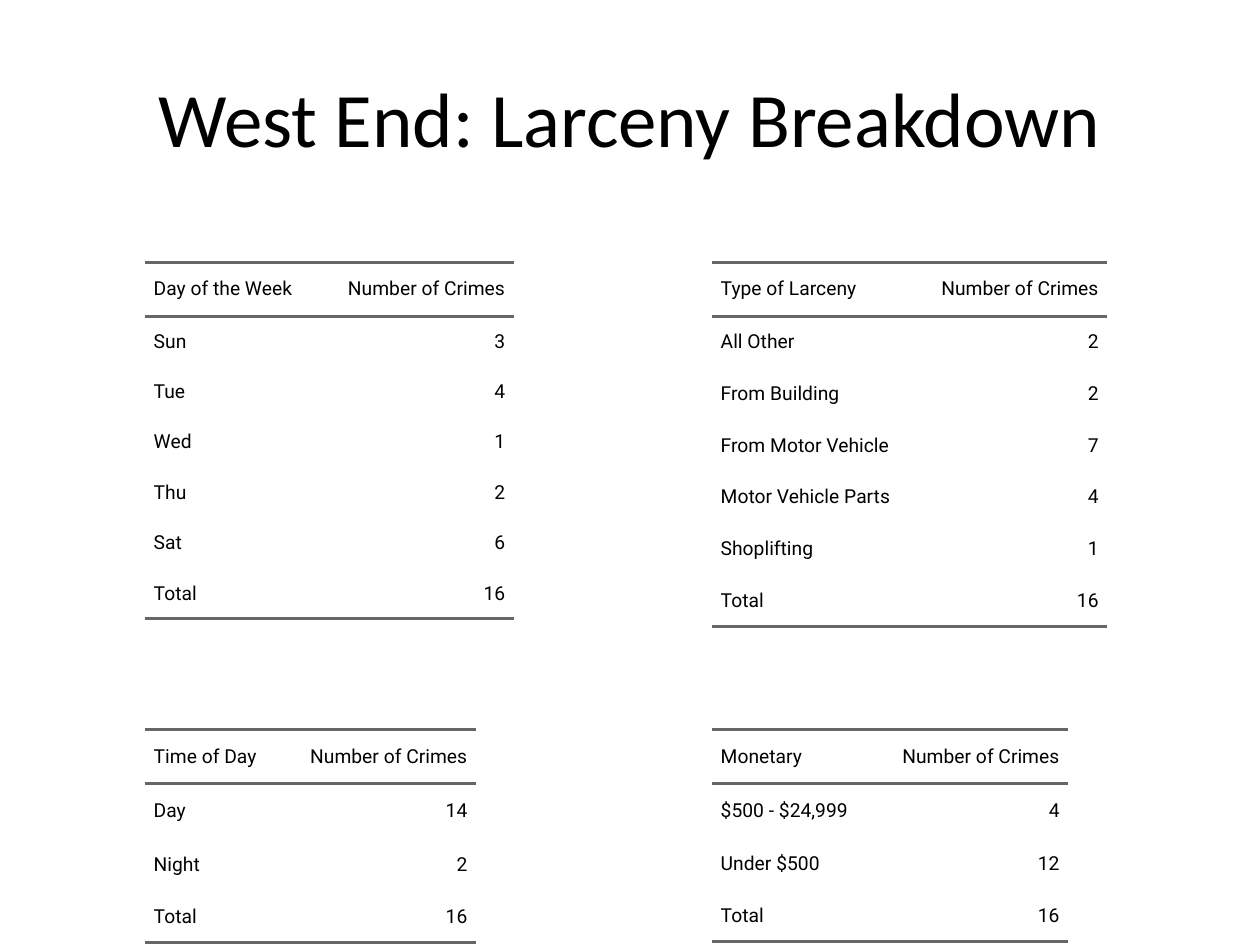
from dataclasses import dataclass

import lxml.etree
import pptx
import pptx.dml.color
import pptx.enum.text
import pptx.oxml.ns
import pptx.util

Inches = pptx.util.Inches
Pt = pptx.util.Pt
ALIGN = pptx.enum.text.PP_ALIGN
MIDDLE = pptx.enum.text.MSO_ANCHOR.MIDDLE

BLACK = pptx.dml.color.RGBColor(0x00, 0x00, 0x00)
GRAY = pptx.dml.color.RGBColor(0x66, 0x66, 0x66)

NO_STYLE = "{2D5ABB26-0587-4C30-8999-92F81FD0307C}"
LEFT_X, RIGHT_X = 1.15, 5.65
TOP_Y, BOTTOM_Y = 2.08, 5.79
COUNT_WIDTH = 1.52
COUNT_HEADING = "Number of Crimes"
PADDING = Inches(0.07)

TITLE_FONT = {"name": "Calibri", "size": Pt(44)}
CELL_FONT = {"name": "Roboto", "size": Pt(11)}
CELL_FORMAT = {
    "margin_left": 0,
    "margin_right": 0,
    "margin_top": 0,
    "margin_bottom": 0,
    "vertical_anchor": MIDDLE,
}
PLAIN_TABLE = {"first_row": False, "horz_banding": False}


@dataclass(frozen=True)
class Breakdown:
    heading: str
    x: float
    y: float
    label_width: float
    row_heights: tuple[float, ...]
    counts: dict[str, int]


BREAKDOWNS = (
    Breakdown("Day of the Week", LEFT_X, TOP_Y, 1.41, (0.43,) + (0.4,) * 6,
              {"Sun": 3, "Tue": 4, "Wed": 1, "Thu": 2, "Sat": 6}),
    Breakdown("Time of Day", LEFT_X, BOTTOM_Y, 1.11, (0.43, 0.43, 0.43, 0.4),
              {"Day": 14, "Night": 2}),
    Breakdown("Type of Larceny", RIGHT_X, TOP_Y, 1.62,
              (0.43, 0.4, 0.43, 0.4, 0.4, 0.43, 0.4),
              {"All Other": 2, "From Building": 2, "From Motor Vehicle": 7,
               "Motor Vehicle Parts": 4, "Shoplifting": 1}),
    Breakdown("Monetary", RIGHT_X, BOTTOM_Y, 1.31, (0.43, 0.43, 0.42, 0.4),
              {"$500 - $24,999": 4, "Under $500": 12}),
)


def apply(target: object, values: dict) -> None:
    for name, value in values.items():
        setattr(target, name, value)


def add_border(cell, side: str) -> None:
    qn = pptx.oxml.ns.qn
    tcPr = cell._tc.get_or_add_tcPr()
    ln = lxml.etree.SubElement(tcPr, qn(f"a:{side}"), w=str(Pt(2)))
    fill = lxml.etree.SubElement(ln, qn("a:solidFill"))
    lxml.etree.SubElement(fill, qn("a:srgbClr"), val=str(GRAY))


def format_cell(cell, text: str, align: ALIGN, sides: tuple[str, ...]) -> None:
    apply(cell, CELL_FORMAT)
    for side in sides:
        add_border(cell, side)
    cell.fill.background()
    p = cell.text_frame.paragraphs[0]
    apply(p, {"alignment": align, "space_before": Pt(5), "space_after": Pt(5)})
    pPr = p._p.get_or_add_pPr()
    for name, value in {"marL": PADDING, "marR": PADDING, "indent": 0}.items():
        pPr.set(name, str(value))
    r = p.add_run()
    r.text = text
    apply(r.font, CELL_FONT)
    r.font.color.rgb = BLACK


def add_breakdown(s, item: Breakdown) -> None:
    rows = [(item.heading, COUNT_HEADING), *item.counts.items(),
            ("Total", sum(item.counts.values()))]
    widths = (item.label_width, COUNT_WIDTH)
    table = s.shapes.add_table(
        len(rows), len(widths), Inches(item.x), Inches(item.y),
        Inches(sum(widths)), Inches(sum(item.row_heights))).table
    apply(table, PLAIN_TABLE)
    table._tbl.tblPr.find(pptx.oxml.ns.qn("a:tableStyleId")).text = NO_STYLE
    for column, width in zip(table.columns, widths):
        column.width = Inches(width)
    for row, height in zip(table.rows, item.row_heights):
        row.height = Inches(height)
    borders = {0: ("lnT", "lnB"), len(rows) - 1: ("lnB",)}
    for i, row in enumerate(rows):
        for j, (value, align) in enumerate(zip(row, (ALIGN.LEFT, ALIGN.RIGHT))):
            format_cell(table.cell(i, j), str(value), align, borders.get(i, ()))


def add_title(s, text: str) -> None:
    sp = s.shapes.title
    apply(sp, {"left": Inches(0.5), "top": Inches(0.3),
               "width": Inches(9), "height": Inches(1.25)})
    tf = sp.text_frame
    tf.vertical_anchor = MIDDLE
    p = tf.paragraphs[0]
    p.alignment = ALIGN.CENTER
    r = p.add_run()
    r.text = text
    apply(r.font, TITLE_FONT)
    r.font.color.rgb = BLACK


def main() -> None:
    prs = pptx.Presentation()
    apply(prs, {"slide_width": Inches(10), "slide_height": Inches(7.5)})
    s = prs.slides.add_slide(prs.slide_layouts[5])
    add_title(s, "West End: Larceny Breakdown")
    for item in BREAKDOWNS:
        add_breakdown(s, item)
    prs.save("out.pptx")


if __name__ == "__main__":
    main()
